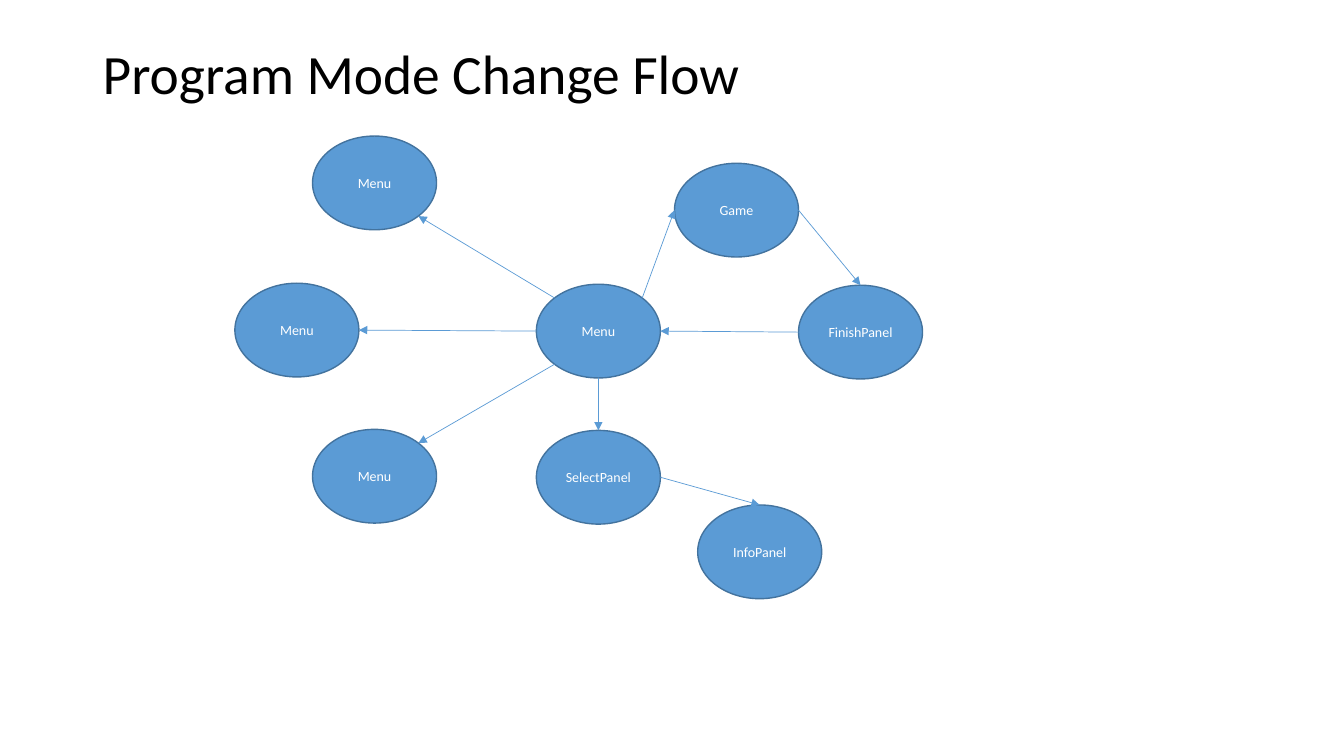
import math

from pptx import Presentation, util as u
from pptx.dml.color import RGBColor
from pptx.enum import shapes, text
from pptx.oxml import ns
from lxml import etree

BLACK = RGBColor(0x00, 0x00, 0x00)
WHITE = RGBColor(0xFF, 0xFF, 0xFF)
BLUE = RGBColor(0x5B, 0x9B, 0xD5)
DARK_BLUE = RGBColor(0x43, 0x73, 0x9E)

TOP, TOP_LEFT, LEFT, BOTTOM_LEFT, BOTTOM, BOTTOM_RIGHT, RIGHT, TOP_RIGHT = range(8)

MODES = {
    "menu": ("Menu", 5.32, 2.82),
    "game": ("Game", 6.69, 1.62),
    "finish": ("FinishPanel", 7.92, 2.83),
    "select": ("SelectPanel", 5.32, 4.27),
    "info": ("InfoPanel", 6.92, 5.01),
    "upper menu": ("Menu", 3.1, 1.35),
    "middle menu": ("Menu", 2.33, 2.81),
    "lower menu": ("Menu", 3.1, 4.26),
}

CHANGES = [
    ("menu", TOP_RIGHT, "game", LEFT),
    ("game", RIGHT, "finish", TOP),
    ("finish", LEFT, "menu", RIGHT),
    ("menu", BOTTOM, "select", TOP),
    ("select", RIGHT, "info", TOP),
    ("menu", TOP_LEFT, "upper menu", BOTTOM_RIGHT),
    ("menu", LEFT, "middle menu", RIGHT),
    ("menu", BOTTOM_LEFT, "lower menu", TOP_RIGHT),
]


def site_point(mode, site):
    angle = math.radians(90 + 45 * site)
    x = mode.left + mode.width / 2 * (1 + math.cos(angle))
    y = mode.top + mode.height / 2 * (1 - math.sin(angle))
    return u.Emu(round(x)), u.Emu(round(y))


class FlowSlide:
    """Draws the parts of a mode flow on one slide in a shared style."""

    font = "Calibri"
    mode_size = u.Inches(1.23), u.Inches(0.93)

    def __init__(self, slide):
        self.shapes = slide.shapes

    def wording(self, frame, words, size, color, align):
        frame.word_wrap = True
        frame.vertical_anchor = text.MSO_ANCHOR.MIDDLE
        paragraph = frame.paragraphs[0]
        paragraph.text = words
        paragraph.alignment = align
        paragraph.font.name = self.font
        paragraph.font.size = u.Pt(size)
        paragraph.font.color.rgb = color
        return paragraph

    def title(self, words):
        box = self.shapes.add_textbox(u.Inches(0.92), u.Inches(0.4), u.Inches(11.5), u.Inches(0.72))
        heading = self.wording(box.text_frame, words, 39.6, BLACK, text.PP_ALIGN.LEFT)
        heading.line_spacing = 0.9

    def mode(self, label, left, top):
        oval = self.shapes.add_shape(
            shapes.MSO_SHAPE.OVAL, u.Inches(left), u.Inches(top), *self.mode_size)
        oval.shadow.inherit = False
        oval.fill.solid()
        oval.fill.fore_color.rgb = BLUE
        oval.line.color.rgb = DARK_BLUE
        oval.line.width = u.Pt(1)
        frame = oval.text_frame
        frame.margin_left = frame.margin_right = u.Inches(0.05)
        self.wording(frame, label, 10, WHITE, text.PP_ALIGN.CENTER)
        return oval

    def change(self, source, source_site, target, target_site):
        arrow = self.shapes.add_connector(shapes.MSO_CONNECTOR.STRAIGHT, 0, 0, 0, 0)
        arrow.begin_connect(source, 0)
        arrow.end_connect(target, 0)
        arrow.begin_x, arrow.begin_y = site_point(source, source_site)
        arrow.end_x, arrow.end_y = site_point(target, target_site)
        for tag, site in (("a:stCxn", source_site), ("a:endCxn", target_site)):
            next(arrow._element.iter(ns.qn(tag))).set("idx", str(site))
        arrow.line.color.rgb = BLUE
        arrow.line.width = u.Pt(0.5)
        outline = arrow._element.spPr.find(ns.qn("a:ln"))
        etree.SubElement(outline, ns.qn("a:tailEnd"), type="triangle")
        etree.SubElement(arrow._element.spPr, ns.qn("a:effectLst"))


def main():
    deck = Presentation()
    deck.slide_width, deck.slide_height = u.Inches(13.33), u.Inches(7.5)
    flow = FlowSlide(deck.slides.add_slide(deck.slide_layouts[6]))
    flow.title("Program Mode Change Flow")
    modes = {key: flow.mode(*placed) for key, placed in MODES.items()}
    for source, source_site, target, target_site in CHANGES:
        flow.change(modes[source], source_site, modes[target], target_site)
    deck.save("out.pptx")


if __name__ == "__main__":
    main()
